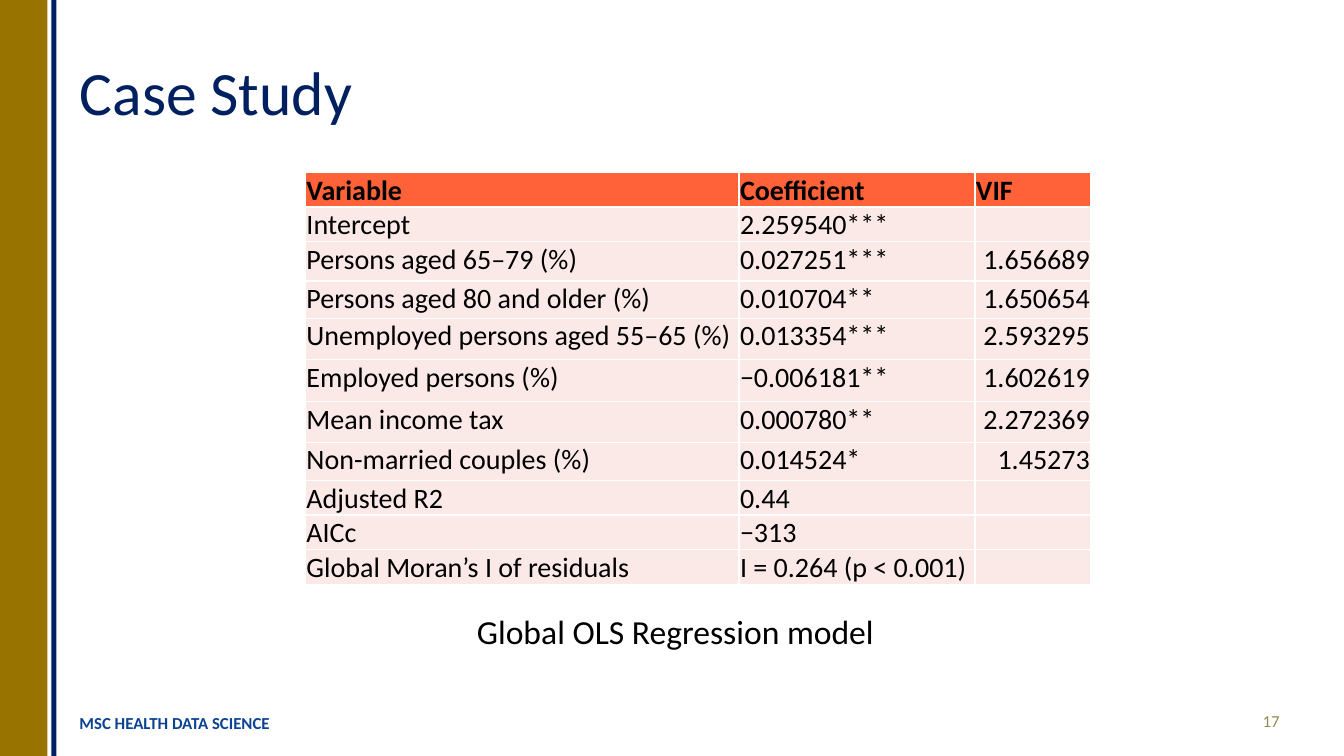
import dataclasses

import lxml.etree
import pptx
import pptx.dml.color
import pptx.enum.shapes
import pptx.enum.text
import pptx.oxml.ns
import pptx.util
from pptx.util import Inches

FONT = "Calibri"
BLACK, WHITE, NAVY = "000000", "FFFFFF", "002060"
HEADER_FILL, BODY_FILL = "FF6238", "FBE9E8"
LEFT, RIGHT = pptx.enum.text.PP_ALIGN.LEFT, pptx.enum.text.PP_ALIGN.RIGHT
MIDDLE = pptx.enum.text.MSO_ANCHOR.MIDDLE

TABLE_LEFT, TABLE_TOP = 3.03, 1.71
COLUMN_WIDTHS = (4.3, 2.34, 1.15)


@dataclasses.dataclass(frozen=True)
class Box:
    left: float
    top: float
    width: float
    height: float

    def lengths(self) -> tuple:
        return tuple(Inches(value) for value in dataclasses.astuple(self))


@dataclasses.dataclass(frozen=True)
class Stripe:
    box: Box
    fill: str


@dataclasses.dataclass(frozen=True)
class Label:
    text: str
    box: Box
    color: str
    bold: bool = False
    alignment: pptx.enum.text.PP_ALIGN = LEFT


@dataclasses.dataclass(frozen=True)
class ModelRow:
    height: float
    variable: str
    coefficient: str
    vif: str = ""


STRIPES = (
    Stripe(Box(0, 0, 0.47, 7.5), "997300"),
    Stripe(Box(0.51, 0, 0.05, 7.5), NAVY),
)
FOOTERS = (
    Label("MSC HEALTH DATA SCIENCE", Box(0.69, 6.97, 2.23, 0.4), "0B4293", bold=True),
    Label("17", Box(11.58, 6.95, 1.21, 0.4), "948A54", alignment=RIGHT),
)
MODEL_ROWS = (
    ModelRow(0.33, "Variable", "Coefficient", "VIF"),
    ModelRow(0.33, "Intercept", "2.259540***"),
    ModelRow(0.39, "Persons aged 65–79 (%)", "0.027251***", "1.656689"),
    ModelRow(0.37, "Persons aged 80 and older (%)", "0.010704**", "1.650654"),
    ModelRow(0.41, "Unemployed persons aged 55–65 (%)", "0.013354***", "2.593295"),
    ModelRow(0.42, "Employed persons (%)", "−0.006181**", "1.602619"),
    ModelRow(0.4, "Mean income tax", "0.000780**", "2.272369"),
    ModelRow(0.38, "Non-married couples (%)", "0.014524*", "1.45273"),
    ModelRow(0.33, "Adjusted R2", "0.44"),
    ModelRow(0.33, "AICc", "−313"),
    ModelRow(0.33, "Global Moran’s I of residuals", "I = 0.264 (p < 0.001)"),
)


def rgb(color: str) -> pptx.dml.color.RGBColor:
    return pptx.dml.color.RGBColor.from_string(color)


def write_text(frame, text: str, size: float, color: str, bold: bool = False, alignment=LEFT):
    """Fill the frame's first paragraph, format it and return it."""
    paragraph = frame.paragraphs[0]
    paragraph.text = text
    paragraph.alignment = alignment
    paragraph.font.name = FONT
    paragraph.font.size = pptx.util.Pt(size)
    paragraph.font.bold = bold
    paragraph.font.color.rgb = rgb(color)
    return paragraph


def move(shape, box: Box) -> None:
    shape.left, shape.top, shape.width, shape.height = box.lengths()


def add_stripe(slide, stripe: Stripe) -> None:
    shape = slide.shapes.add_shape(
        pptx.enum.shapes.MSO_SHAPE.RECTANGLE, *stripe.box.lengths()
    )
    shape.shadow.inherit = False
    shape.fill.solid()
    shape.fill.fore_color.rgb = rgb(stripe.fill)
    shape.line.fill.background()


def add_footer(slide, label: Label) -> None:
    frame = slide.shapes.add_textbox(*label.box.lengths()).text_frame
    frame.word_wrap = True
    frame.vertical_anchor = MIDDLE
    write_text(frame, label.text, 12, label.color, label.bold, label.alignment)


def fill_title(slide) -> None:
    title = slide.shapes.title
    move(title, Box(0.69, 0.22, 12.11, 1.45))
    title.text_frame.vertical_anchor = MIDDLE
    write_text(title.text_frame, "Case Study", 44, NAVY).line_spacing = 0.9


def fill_caption(slide) -> None:
    caption = slide.placeholders[1]
    move(caption, Box(4.63, 6.06, 4.23, 0.64))
    paragraph = write_text(caption.text_frame, "Global OLS Regression model", 24, BLACK)
    paragraph.line_spacing = 0.9
    paragraph.space_before = pptx.util.Pt(10)
    properties = paragraph._p.get_or_add_pPr()
    properties.set("marL", "0")
    properties.set("indent", "0")
    no_bullet = lxml.etree.Element(pptx.oxml.ns.qn("a:buNone"))
    properties.find(pptx.oxml.ns.qn("a:defRPr")).addprevious(no_bullet)


def set_borders(cell, color: str, points: float) -> None:
    properties = cell._tc.get_or_add_tcPr()
    for position, side in enumerate(("a:lnL", "a:lnR", "a:lnT", "a:lnB")):
        line = lxml.etree.Element(pptx.oxml.ns.qn(side), w=str(pptx.util.Pt(points)))
        fill = lxml.etree.SubElement(line, pptx.oxml.ns.qn("a:solidFill"))
        lxml.etree.SubElement(fill, pptx.oxml.ns.qn("a:srgbClr"), val=color)
        properties.insert(position, line)


def format_cell(cell, text: str, header: bool, alignment) -> None:
    cell.margin_left = cell.margin_right = cell.margin_top = Inches(0.01)
    cell.margin_bottom = 0
    cell.fill.solid()
    cell.fill.fore_color.rgb = rgb(HEADER_FILL if header else BODY_FILL)
    set_borders(cell, WHITE, 1)
    write_text(cell.text_frame, text, 20, BLACK, header, alignment)


def add_model_table(slide) -> None:
    height = sum(row.height for row in MODEL_ROWS)
    box = Box(TABLE_LEFT, TABLE_TOP, sum(COLUMN_WIDTHS), height)
    table = slide.shapes.add_table(
        len(MODEL_ROWS), len(COLUMN_WIDTHS), *box.lengths()
    ).table
    for column, width in zip(table.columns, COLUMN_WIDTHS):
        column.width = Inches(width)
    for row_index, row in enumerate(MODEL_ROWS):
        table.rows[row_index].height = Inches(row.height)
        header = row_index == 0
        for column_index, text in enumerate((row.variable, row.coefficient, row.vif)):
            alignment = RIGHT if column_index == 2 and not header else LEFT
            format_cell(table.cell(row_index, column_index), text, header, alignment)


def main() -> None:
    presentation = pptx.Presentation()
    presentation.slide_width = Inches(13.33)
    presentation.slide_height = Inches(7.5)
    slide = presentation.slides.add_slide(presentation.slide_layouts[1])
    for stripe in STRIPES:
        add_stripe(slide, stripe)
    fill_title(slide)
    fill_caption(slide)
    for label in FOOTERS:
        add_footer(slide, label)
    add_model_table(slide)
    presentation.save("out.pptx")


if __name__ == "__main__":
    main()
